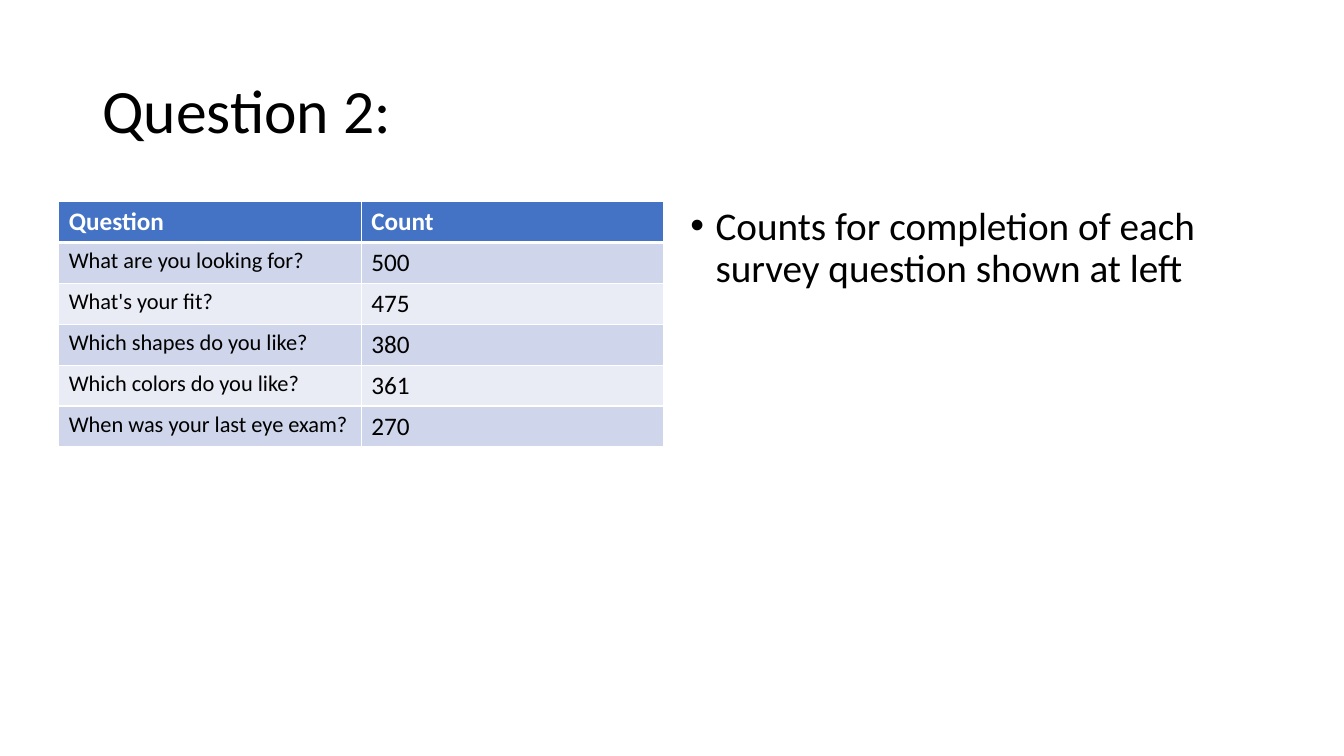
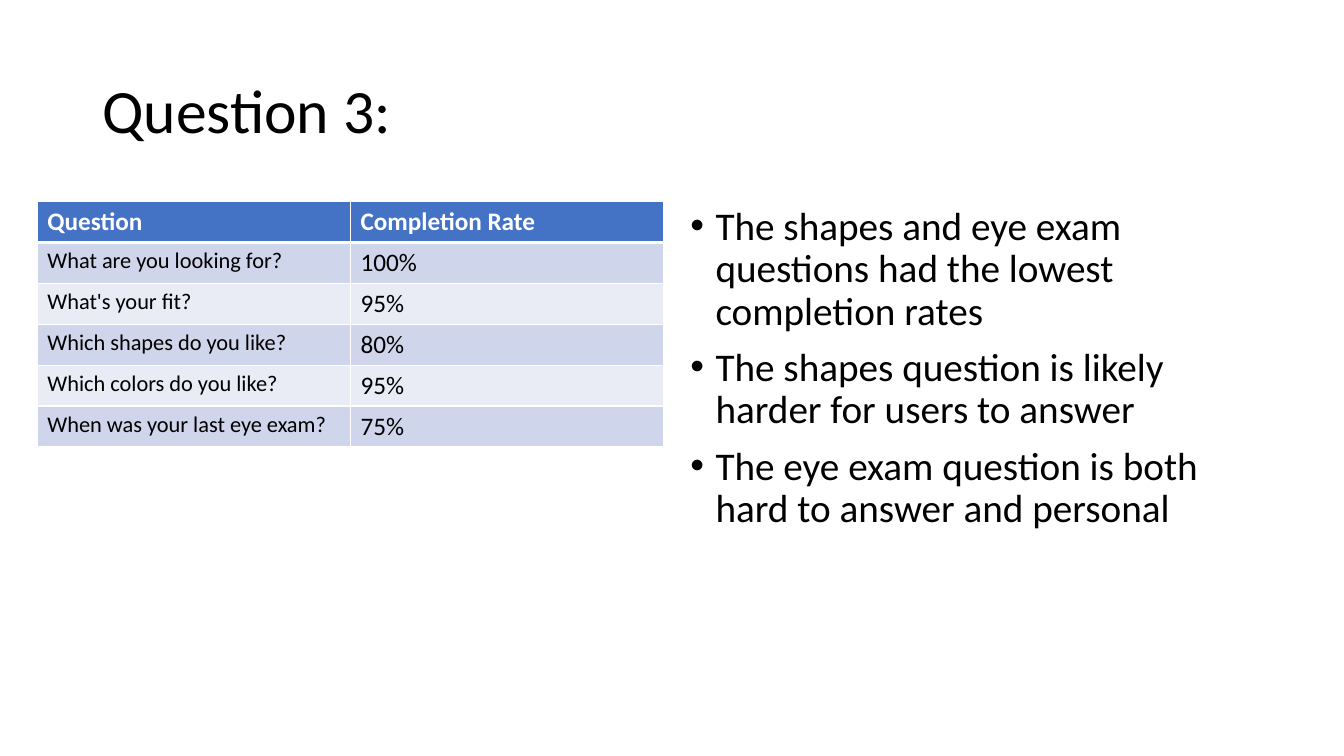
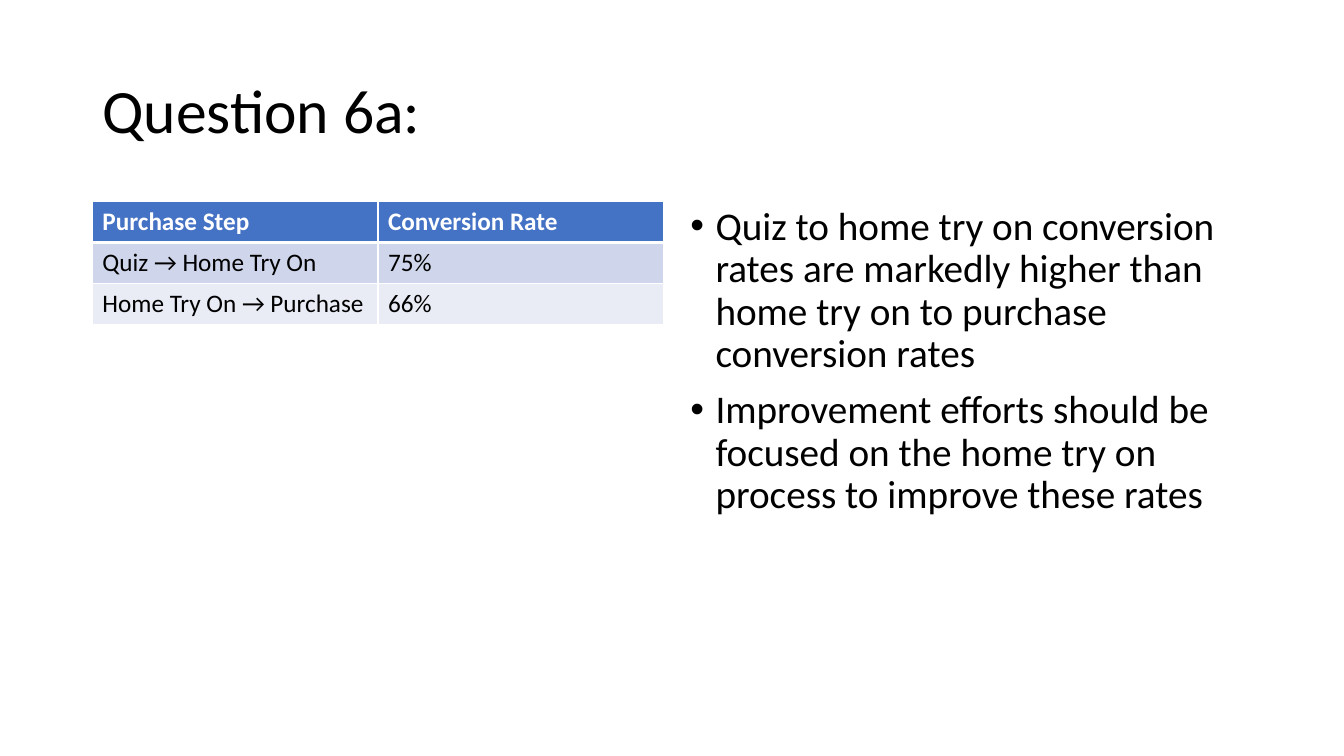
from pptx import Presentation
from pptx.dml.color import RGBColor
from pptx.enum.text import MSO_ANCHOR
from pptx.oxml.ns import qn
from pptx.util import Inches, Pt
from lxml import etree

MIDDLE, TOP = MSO_ANCHOR.MIDDLE, MSO_ANCHOR.TOP

# The slide is a grid of 160 columns by 90 rows.
COLUMNS, ROWS = 160, 90
SLIDE_WIDTH, SLIDE_HEIGHT = Inches(13.333), Inches(7.5)
MARGIN = 11
TITLE_AREA = (MARGIN, 4.8, COLUMNS - 2 * MARGIN, 17.4)
CONTENT_TOP = 24
TABLE_RIGHT = 79
BULLET_LEFT = 81
BULLET_AREA = (BULLET_LEFT, CONTENT_TOP, COLUMNS - MARGIN - BULLET_LEFT, 57.1)

FONT = "Calibri"
BLACK, WHITE = "000000", "FFFFFF"
HEADER_FILL = "4472C4"
BAND_FILLS = ("CFD5EA", "E9EBF5")
TITLE_SIZE, BULLET_SIZE, TABLE_SIZE, QUESTION_SIZE = 44, 28, 18, 16
ROW_HEIGHT = Pt(29.2)
THIN, THICK = 1, 3

QUESTIONS = (
    "What are you looking for?",
    "What's your fit?",
    "Which shapes do you like?",
    "Which colors do you like?",
    "When was your last eye exam?",
)
COUNTS = ("500", "475", "380", "361", "270")
COMPLETION_RATES = ("100%", "95%", "80%", "95%", "75%")
CONVERSIONS = (
    ("Purchase Step", "Conversion Rate"),
    ("Quiz → Home Try On", "75%"),
    ("Home Try On → Purchase", "66%"),
)


def color(hex_value):
    """Turn a hex string into a colour."""
    return RGBColor.from_string(hex_value)


def across(columns):
    """Width of a number of grid columns."""
    return round(SLIDE_WIDTH * columns / COLUMNS)


def down(rows):
    """Height of a number of grid rows."""
    return round(SLIDE_HEIGHT * rows / ROWS)


def style(paragraph, size, hex_value=BLACK, bold=False):
    """Set the font of a whole paragraph."""
    font = paragraph.font
    font.name, font.size, font.bold = FONT, Pt(size), bold
    font.color.rgb = color(hex_value)


def add_text(slide, area, lines, size, anchor=TOP):
    """Add a wrapping text box and return its paragraphs."""
    left, top, width, height = area
    frame = slide.shapes.add_textbox(
        across(left), down(top), across(width), down(height)).text_frame
    frame.word_wrap = True
    frame.vertical_anchor = anchor
    frame.text = "\n".join(lines)
    for paragraph in frame.paragraphs:
        paragraph.line_spacing = 0.9
        style(paragraph, size)
    return frame.paragraphs


def add_bullets(slide, lines):
    """Add the bulleted remarks on the right."""
    for paragraph in add_text(slide, BULLET_AREA, lines, BULLET_SIZE):
        paragraph.space_before = Pt(10)
        properties = paragraph._p.get_or_add_pPr()
        properties.set("marL", str(Inches(0.25)))
        properties.set("indent", str(-Inches(0.25)))
        bullet_font = etree.SubElement(properties, qn("a:buFont"))
        bullet_font.set("typeface", "Arial")
        etree.SubElement(properties, qn("a:buChar")).set("char", "•")
        # The default run properties come after the bullet.
        properties.append(properties.find(qn("a:defRPr")))


def set_borders(cell, top, bottom):
    """Draw white cell borders, thin at the sides."""
    properties = cell._tc.get_or_add_tcPr()
    widths = {"a:lnL": THIN, "a:lnR": THIN, "a:lnT": top, "a:lnB": bottom}
    for place, (tag, width) in enumerate(widths.items()):
        line = etree.Element(qn(tag), w=str(Pt(width)))
        fill = etree.SubElement(line, qn("a:solidFill"))
        etree.SubElement(fill, qn("a:srgbClr")).set("val", WHITE)
        properties.insert(place, line)


def fill_cell(cell, text, row, size):
    """Write and style one cell by its row."""
    header = row == 0
    cell.text = text
    style(cell.text_frame.paragraphs[0], size, WHITE if header else BLACK, header)
    cell.fill.solid()
    cell.fill.fore_color.rgb = color(
        HEADER_FILL if header else BAND_FILLS[(row - 1) % 2])
    set_borders(cell, THICK if row == 1 else THIN, THICK if header else THIN)


def add_results(slide, left, records, label_size):
    """Add a table that ends at the shared right edge."""
    table = slide.shapes.add_table(
        len(records), len(records[0]), across(left), down(CONTENT_TOP),
        across(TABLE_RIGHT - left), ROW_HEIGHT * len(records)).table
    for row, record in enumerate(records):
        table.rows[row].height = ROW_HEIGHT
        for column, text in enumerate(record):
            is_label = row > 0 and column == 0
            fill_cell(table.cell(row, column), text, row,
                      label_size if is_label else TABLE_SIZE)


def add_question(deck, title, left, records, remarks, label_size=QUESTION_SIZE):
    """Add a slide with a title, a table and remarks."""
    slide = deck.slides.add_slide(deck.slide_layouts[6])
    add_text(slide, TITLE_AREA, [title], TITLE_SIZE, MIDDLE)
    add_results(slide, left, records, label_size)
    add_bullets(slide, remarks)


def survey(heading, values):
    """Pair the survey questions with their values."""
    return [("Question", heading), *zip(QUESTIONS, values)]


def main():
    """Build and save the deck."""
    deck = Presentation()
    deck.slide_width, deck.slide_height = SLIDE_WIDTH, SLIDE_HEIGHT
    add_question(deck, "Question 2:", 7, survey("Count", COUNTS), [
        "Counts for completion of each survey question shown at left",
    ])
    add_question(deck, "Question 3:", 4.45, survey("Completion Rate", COMPLETION_RATES), [
        "The shapes and eye exam questions had the lowest completion rates",
        "The shapes question is likely harder for users to answer",
        "The eye exam question is both hard to answer and personal",
    ])
    add_question(deck, "Question 6a:", MARGIN, CONVERSIONS, [
        "Quiz to home try on conversion rates are markedly higher than "
        "home try on to purchase conversion rates",
        "Improvement efforts should be focused on the home try on process "
        "to improve these rates",
    ], TABLE_SIZE)
    deck.save("out.pptx")


main()
